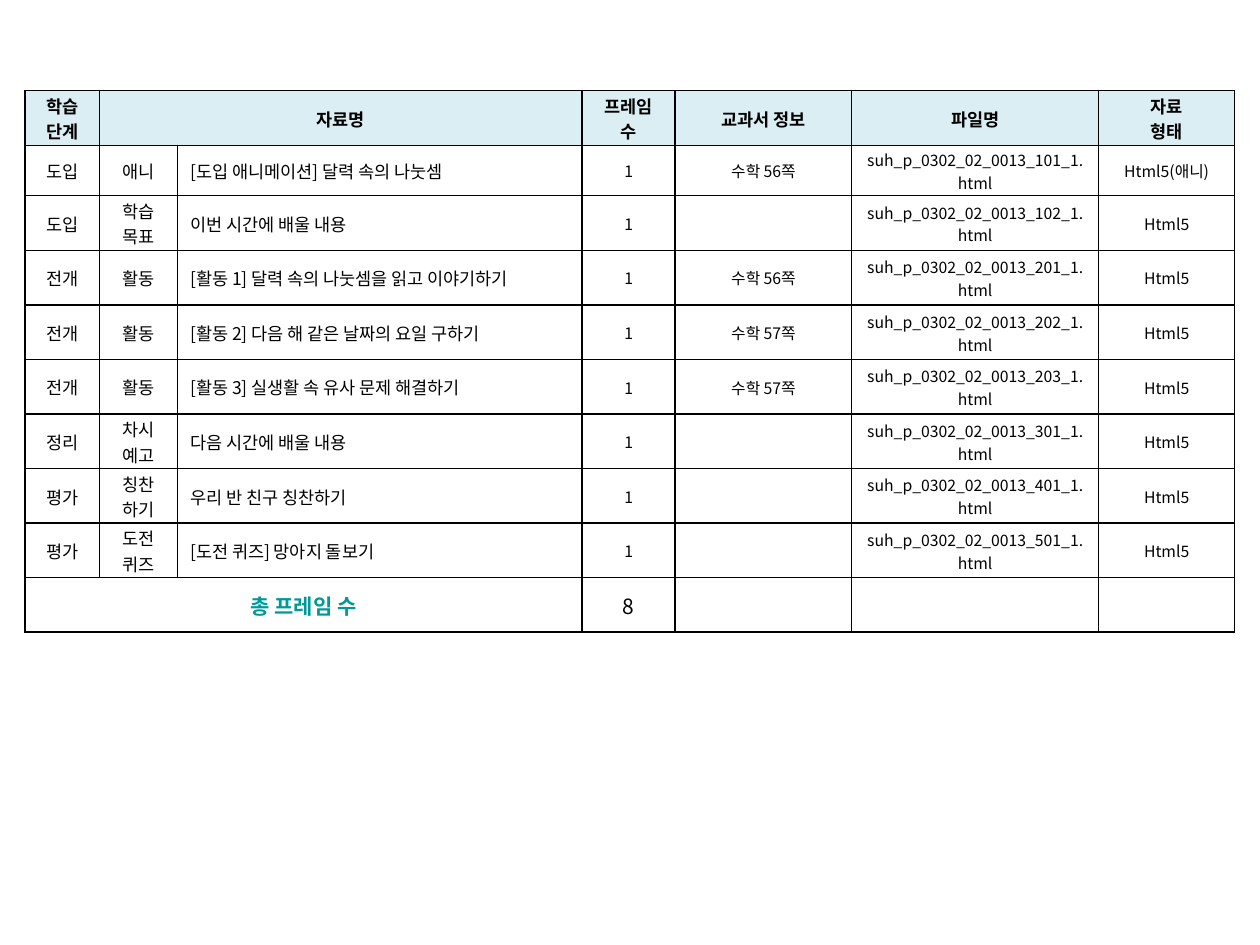
"""Build a one-slide lesson material list with frame counts."""
from dataclasses import dataclass

from lxml import etree
from pptx import Presentation
from pptx.dml.color import RGBColor
from pptx.enum.text import MSO_ANCHOR, PP_ALIGN
from pptx.oxml.ns import qn
from pptx.table import _Cell
from pptx.util import Inches, Pt

LEFT, CENTER = PP_ALIGN.LEFT, PP_ALIGN.CENTER
MIDDLE = MSO_ANCHOR.MIDDLE
FONT = "Noto Sans CJK KR"
COLORS = {"text": "000000", "border": "000000", "header": "DBEEF4", "total": "009999"}
COL_WIDTHS = [0.59, 0.62, 3.21, 0.74, 1.4, 1.96, 1.08]
TABLE_HEIGHT, INTRO_HEIGHT = 4.3, 0.4
TITLE_COL = 2
CELL_FORMAT = {
    "vertical_anchor": MIDDLE,
    "margin_left": Inches(0.1),
    "margin_right": Inches(0.1),
    "margin_top": Inches(0.02),
    "margin_bottom": Inches(0.01),
}


@dataclass(frozen=True)
class Style:
    """Text and fill format of a cell."""
    size: float = 10
    bold: bool = False
    color: str = "text"
    align: PP_ALIGN = CENTER
    fill: str = ""


@dataclass(frozen=True)
class Material:
    """One learning material in the list."""
    stage: str
    kind: str
    title: str
    page: str
    code: str
    form: str = "Html5"

    def values(self) -> list[str]:
        """Return the texts of the row from left to right."""
        textbook = f"수학 {self.page}쪽" if self.page else ""
        file_name = f"suh_p_0302_02_0013_{self.code}_1.html"
        return [self.stage, self.kind, self.title, "1", textbook, file_name, self.form]


HEADER = Style(bold=True, fill="header")
LABEL, TITLE, DETAIL = Style(), Style(align=LEFT), Style(size=9)
TOTAL, COUNT = Style(12, True, "total"), Style(12)
BODY = [LABEL, LABEL, TITLE] + [DETAIL] * 4
HEADINGS = ["학습 단계", "자료명", "", "프레임 수", "교과서 정보", "파일명", "자료\n형태"]
MATERIALS = [
    Material("도입", "애니", "[도입 애니메이션] 달력 속의 나눗셈", "56", "101", "Html5(애니)"),
    Material("도입", "학습 목표", "이번 시간에 배울 내용", "", "102"),
    Material("전개", "활동", "[활동 1] 달력 속의 나눗셈을 읽고 이야기하기", "56", "201"),
    Material("전개", "활동", "[활동 2] 다음 해 같은 날짜의 요일 구하기", "57", "202"),
    Material("전개", "활동", "[활동 3] 실생활 속 유사 문제 해결하기", "57", "203"),
    Material("정리", "차시 예고", "다음 시간에 배울 내용", "", "301"),
    Material("평가", "칭찬\n하기", "우리 반 친구 칭찬하기", "", "401"),
    Material("평가", "도전\n퀴즈", "[도전 퀴즈] 망아지 돌보기", "", "501"),
]


def add_borders(cell: _Cell) -> None:
    """Draw a thin line on every side of a cell."""
    tc_pr = cell._tc.get_or_add_tcPr()
    for side in ("lnL", "lnR", "lnT", "lnB"):
        ln = etree.SubElement(tc_pr, qn(f"a:{side}"), w=str(Pt(1)))
        fill = etree.SubElement(ln, qn("a:solidFill"))
        etree.SubElement(fill, qn("a:srgbClr"), val=COLORS["border"])


def fill_cell(cell: _Cell, text: str, style: Style) -> None:
    """Format a cell and write its text, one paragraph a line."""
    add_borders(cell)
    for name, value in CELL_FORMAT.items():
        setattr(cell, name, value)
    if style.fill:
        cell.fill.solid()
        cell.fill.fore_color.rgb = RGBColor.from_string(COLORS[style.fill])
    else:
        cell.fill.background()
    if not text:
        return
    tf = cell.text_frame
    tf.text = text
    font_format = {"name": FONT, "size": Pt(style.size), "bold": style.bold}
    for p in tf.paragraphs:
        p.alignment = style.align
        for r in p.runs:
            for name, value in font_format.items():
                setattr(r.font, name, value)
            r.font.color.rgb = RGBColor.from_string(COLORS[style.color])
            etree.SubElement(r._r.get_or_add_rPr(), qn("a:ea"), typeface=FONT)


def main() -> None:
    """Create the slide and save it."""
    prs = Presentation()
    prs.slide_width, prs.slide_height = Inches(10), Inches(7.5)
    s = prs.slides.add_slide(prs.slide_layouts[6])

    rows = [(HEADINGS, [HEADER] * len(COL_WIDTHS))]
    rows += [(material.values(), BODY) for material in MATERIALS]
    total = ["총 프레임 수", "", "", str(len(MATERIALS)), "", "", ""]
    rows.append((total, [TOTAL] * 3 + [COUNT] * 4))
    last = len(rows) - 1
    heights = [(TABLE_HEIGHT - INTRO_HEIGHT) / last] * len(rows)
    heights[1] = INTRO_HEIGHT

    frame = s.shapes.add_table(
        len(rows), len(COL_WIDTHS), Inches(0.2), Inches(0.72),
        Inches(sum(COL_WIDTHS)), Inches(TABLE_HEIGHT))
    table = frame.table
    for col, width in zip(table.columns, COL_WIDTHS):
        col.width = Inches(width)
    for row, height in zip(table.rows, heights):
        row.height = Inches(height)
    table.cell(0, 1).merge(table.cell(0, TITLE_COL))
    table.cell(last, 0).merge(table.cell(last, TITLE_COL))
    for row, (texts, styles) in zip(table.rows, rows):
        for cell, text, style in zip(row.cells, texts, styles):
            fill_cell(cell, text, style)

    prs.save("out.pptx")


if __name__ == "__main__":
    main()
